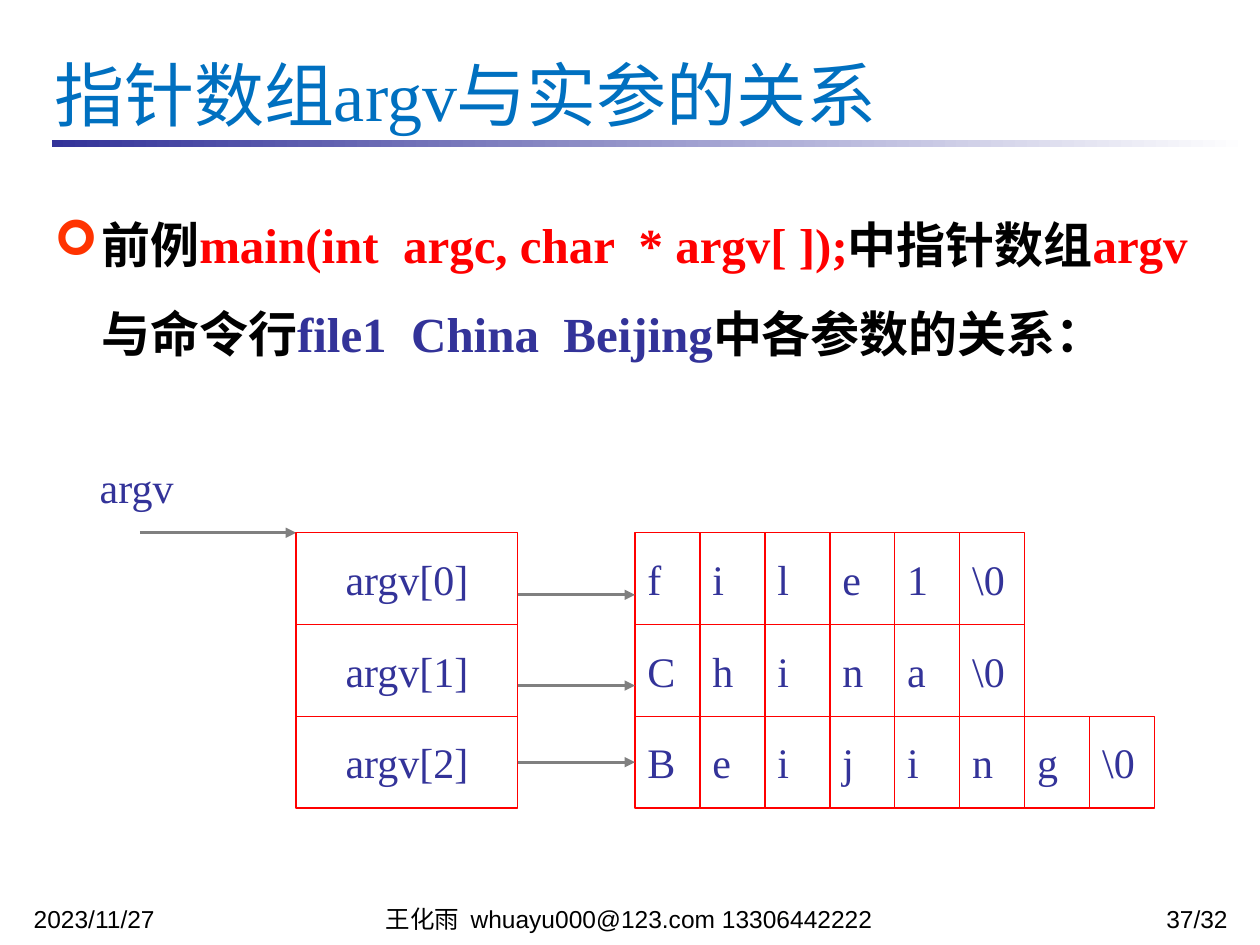
from lxml.etree import SubElement
from pptx import Presentation
from pptx.dml.color import RGBColor
from pptx.enum.shapes import MSO_CONNECTOR as LINE, MSO_SHAPE as SHAPE
from pptx.enum.text import MSO_ANCHOR as ANCHOR, MSO_AUTO_SIZE as FIT, PP_ALIGN as ALIGN
from pptx.oxml.ns import qn
from pptx.util import Cm, Pt

INDIGO = RGBColor(0x33, 0x33, 0x99)
BLUE = RGBColor(0x00, 0x70, 0xC0)
RED = RGBColor(0xFF, 0x00, 0x00)
GREY = RGBColor(0x80, 0x80, 0x80)
BLACK = RGBColor(0x00, 0x00, 0x00)
WHITE = RGBColor(0xFF, 0xFF, 0xFF)
BULLET_COLOR = "FF3300"

ROW_TOP, ROW_HEIGHT = 10.74, 1.85
POINTER_LEFT, POINTER_WIDTH = 5.97, 4.47
CELL_LEFT, CELL_WIDTH = 12.8, 1.31
ARROW_HEIGHTS = [11.99, 13.82, 15.37]
ARGUMENTS = ["file1", "China", "Beijing"]


class SlideBuilder:
    serif = "Times New Roman"
    sans = "Arial"

    def __init__(self, page):
        self.page = page

    def style(self, para, size, color, font=None, bold=False):
        for span in para.runs:
            span.font.name = font or self.serif
            span.font.size = Pt(size)
            span.font.bold = bold
            span.font.color.rgb = color

    def place(self, box, left, top, width, height):
        box.left, box.top = Cm(left), Cm(top)
        box.width, box.height = Cm(width), Cm(height)

    def rule(self, left, top, width, height):
        """Draw a bar that fades to white on the right."""
        bar = self.page.shapes.add_shape(
            SHAPE.RECTANGLE, Cm(left), Cm(top), Cm(width), Cm(height))
        bar.shadow.inherit = False
        bar.line.fill.background()
        bar.fill.gradient()
        bar.fill.gradient_angle = 0
        for stop, color in zip(bar.fill.gradient_stops, (INDIGO, WHITE)):
            stop.color.rgb = color

    def title(self, text):
        box = self.page.shapes.title
        self.place(box, 0.84, 0.84, 23.72, 2.11)
        frame = box.text_frame
        frame.text = text
        frame.auto_size = FIT.NONE
        frame.vertical_anchor = ANCHOR.MIDDLE
        frame.paragraphs[0].alignment = ALIGN.LEFT
        self.style(frame.paragraphs[0], 40, BLUE)

    def body(self, spans):
        """Fill the body with one bulleted paragraph of (text, colour) spans."""
        box = self.page.placeholders[1]
        self.place(box, 0.84, 3.61, 23.72, 13.54)
        box.text_frame.auto_size = FIT.NONE
        para = box.text_frame.paragraphs[0]
        for text, _ in spans:
            para.add_run().text = text
        self.style(para, 28, BLACK, bold=True)
        for span, (_, color) in zip(para.runs, spans):
            span.font.color.rgb = color
        para.line_spacing = 1.5
        para.space_before = Pt(5.6)
        props = para._p.get_or_add_pPr()
        props.set("marL", str(Cm(0.95)))
        props.set("indent", str(Cm(-0.95)))
        SubElement(SubElement(props, qn("a:buClr")), qn("a:srgbClr"), val=BULLET_COLOR)
        SubElement(props, qn("a:buFont"), typeface="Wingdings")
        SubElement(props, qn("a:buChar"), char="➢")

    def footer(self, text, left, width, align):
        box = self.page.shapes.add_textbox(Cm(left), Cm(18.21), Cm(width), Cm(0.46))
        box.text_frame.word_wrap = True
        box.text_frame.text = text
        para = box.text_frame.paragraphs[0]
        para.alignment = align
        para.line_spacing = 0.8
        self.style(para, 14, BLACK, self.sans)

    def label(self, text, left, top, width, height):
        box = self.page.shapes.add_textbox(Cm(left), Cm(top), Cm(width), Cm(height))
        self.diagram_text(box, text, ALIGN.CENTER)

    def cell(self, text, left, top, width, align):
        box = self.page.shapes.add_shape(
            SHAPE.RECTANGLE, Cm(left), Cm(top), Cm(width), Cm(ROW_HEIGHT))
        box.shadow.inherit = False
        box.fill.background()
        box.line.color.rgb = RED
        box.line.width = Pt(0.75)
        self.diagram_text(box, text, align)
        return box

    def diagram_text(self, box, text, align):
        frame = box.text_frame
        frame.text = text
        frame.word_wrap = False
        frame.vertical_anchor = ANCHOR.MIDDLE
        frame.paragraphs[0].alignment = align
        self.style(frame.paragraphs[0], 24, INDIGO)

    def arrow(self, left, right, height):
        line = self.page.shapes.add_connector(
            LINE.STRAIGHT, Cm(left), Cm(height), Cm(right), Cm(height))
        line.line.color.rgb = GREY
        line.line.width = Pt(1.5)
        SubElement(line.line._get_or_add_ln(), qn("a:tailEnd"), type="triangle")
        SubElement(line._element.spPr, qn("a:effectLst"))
        return line


def main():
    deck = Presentation()
    deck.slide_width, deck.slide_height = Cm(25.4), Cm(19.05)
    page = deck.slides.add_slide(deck.slide_layouts[1])
    builder = SlideBuilder(page)

    builder.rule(1.04, 2.82, 24.16, 0.15)
    builder.footer("2023/11/27", 0.43, 5.92, ALIGN.LEFT)
    builder.footer("王化雨  whuayu000@123.com 13306442222", 6.55, 12.27, ALIGN.CENTER)
    builder.footer("37/32", 20.12, 4.88, ALIGN.RIGHT)
    builder.title("指针数组argv与实参的关系")
    builder.body([
        ("前例", BLACK),
        ("main(int  argc, char  * argv[ ]);", RED),
        ("中指针数组", BLACK),
        ("argv", RED),
        ("与命令行", BLACK),
        ("file1  China  Beijing", INDIGO),
        ("中各参数的关系：", BLACK),
    ])

    builder.label("argv", 1.75, 9.17, 2.01, 1.27)
    builder.arrow(2.82, POINTER_LEFT, ROW_TOP)
    for row, (argument, height) in enumerate(zip(ARGUMENTS, ARROW_HEIGHTS)):
        top = ROW_TOP + row * ROW_HEIGHT
        pointer = builder.cell(
            f"argv[{row}]", POINTER_LEFT, top, POINTER_WIDTH, ALIGN.CENTER)
        cells = [
            builder.cell(text, CELL_LEFT + column * CELL_WIDTH, top, CELL_WIDTH, ALIGN.LEFT)
            for column, text in enumerate([*argument, "\\0"])
        ]
        arrow = builder.arrow(POINTER_LEFT + POINTER_WIDTH, CELL_LEFT, height)
        # Only the last arrow runs between the middles of the two sides.
        if row == len(ARGUMENTS) - 1:
            arrow.begin_connect(pointer, 3)
            arrow.end_connect(cells[0], 1)

    deck.save("out.pptx")


if __name__ == "__main__":
    main()
